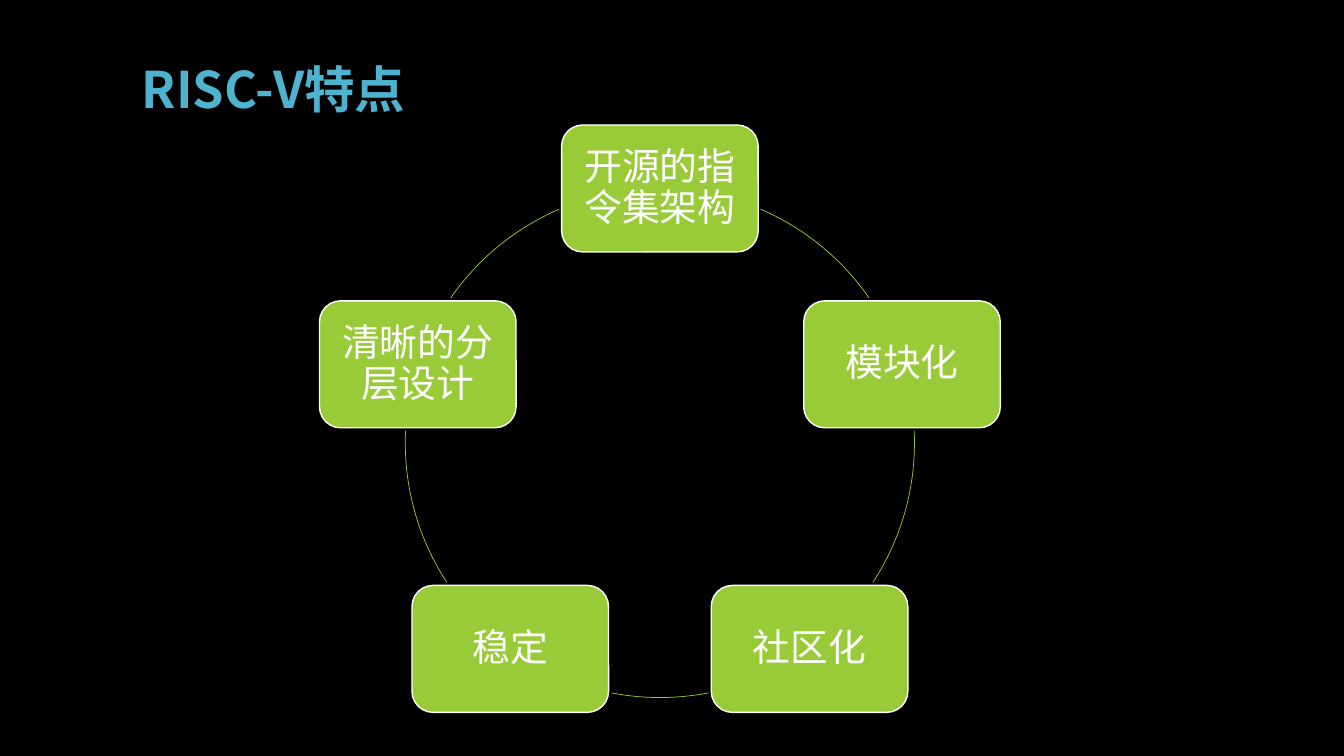
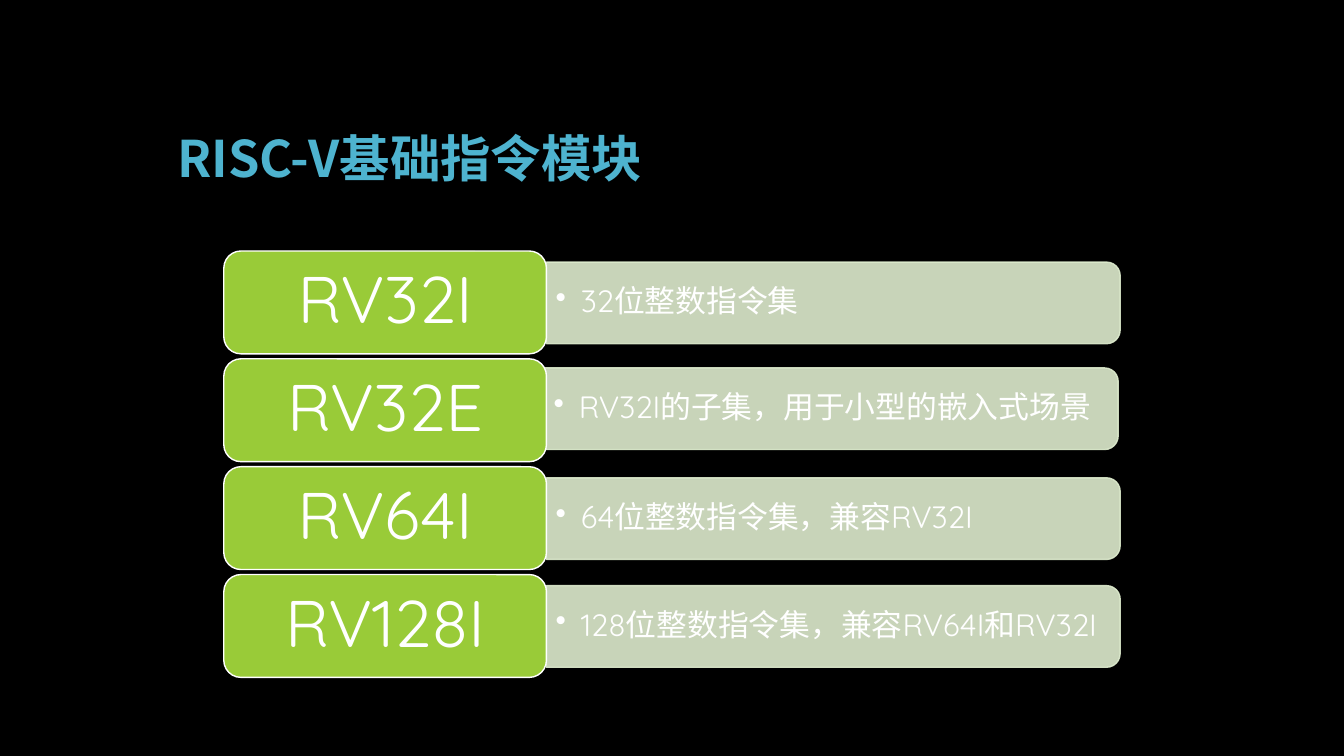
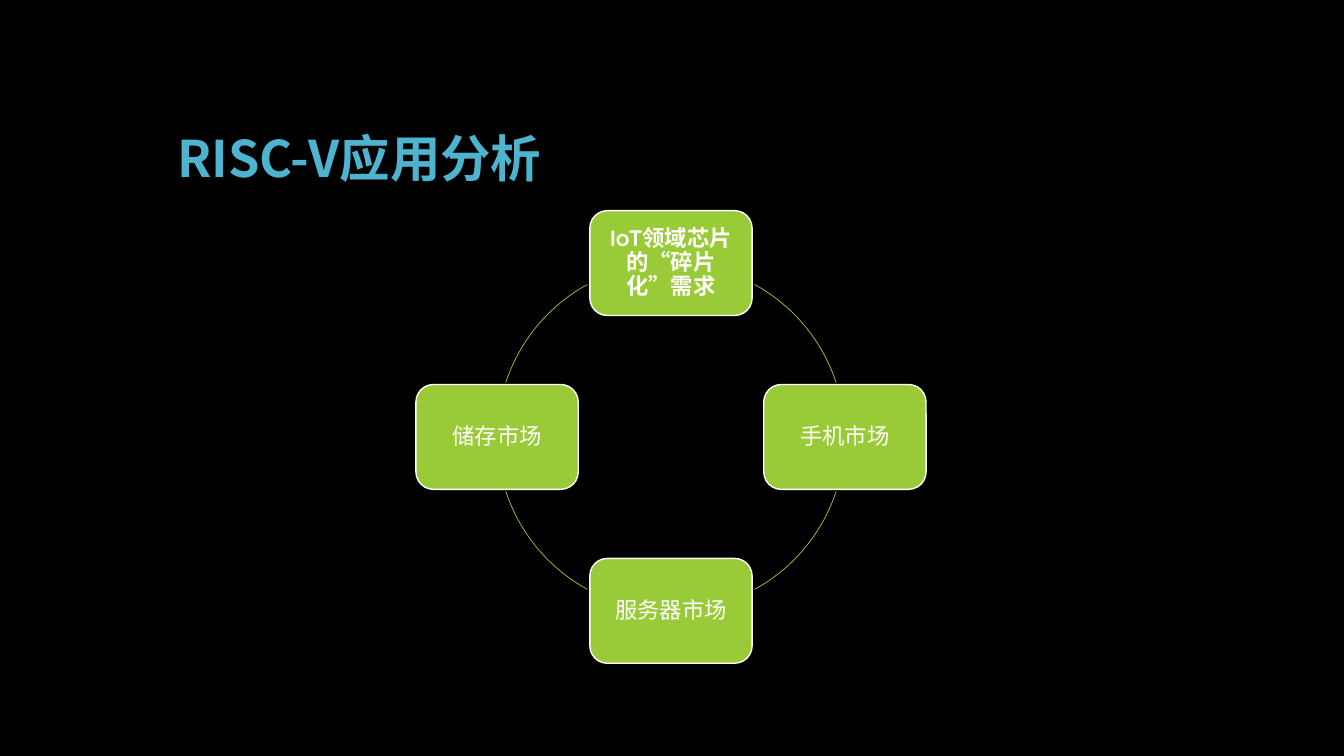
from dataclasses import dataclass
from itertools import count
from math import cos, radians, sin

from lxml import etree
from pptx import Presentation
from pptx.dml.color import RGBColor
from pptx.enum.shapes import MSO_SHAPE
from pptx.enum.text import MSO_ANCHOR, PP_ALIGN
from pptx.oxml.ns import qn
from pptx.util import Emu, Pt

ROUND, TAB, ARC = (MSO_SHAPE.ROUNDED_RECTANGLE,
                   MSO_SHAPE.ROUND_2_SAME_RECTANGLE, MSO_SHAPE.ARC)
LEFT, MID = PP_ALIGN.LEFT, PP_ALIGN.CENTER
CENTER, BOTTOM = MSO_ANCHOR.MIDDLE, MSO_ANCHOR.BOTTOM
BLANK = 6
SCALE = 9144  # EMU in one px, 100 px to the inch


@dataclass(frozen=True)
class Theme:
    back: str = "000000"
    title: str = "4EB3CF"
    green: str = "99CB38"
    pale: str = "DEECCE"
    white: str = "FFFFFF"
    body: str = "Quicksand"
    han: str = "Noto Sans CJK SC"
    head: int = 36
    code: int = 47
    note: int = 22
    large: int = 27
    small: int = 16


T = Theme()


def px(n):
    return Emu(round(n * SCALE))


def rgb(code):
    return RGBColor.from_string(code)


# Text
def write(shape, text, *, size, color=T.white, font=T.body, bold=False,
          align=MID, anchor=CENTER, pad=(10, 5), bullet=False):
    frame = shape.text_frame
    frame.word_wrap = True
    frame.vertical_anchor = anchor
    frame.margin_left = frame.margin_right = px(pad[0])
    frame.margin_top = frame.margin_bottom = px(pad[1])
    para = frame.paragraphs[0]
    para.alignment = align
    para.line_spacing = 0.9
    run = para.add_run()
    run.text = text
    run.font.size = Pt(size)
    run.font.bold = bold
    run.font.color.rgb = rgb(color)
    run.font.name = font
    etree.SubElement(run.font._element, qn("a:ea"), typeface=T.han)
    if bullet:
        props = para._p.get_or_add_pPr()
        props.set("marL", str(px(25)))
        props.set("indent", str(px(-25)))
        etree.SubElement(props, qn("a:buChar"), char="•")


def label(slide, text, box, **style):
    write(slide.shapes.add_textbox(*map(px, box)), text, **style)


# Shapes
def draw(slide, kind, box, line, width=1, fill=None):
    shape = slide.shapes.add_shape(kind, *map(px, box))
    shape.shadow.inherit = False
    if fill:
        shape.fill.solid()
        shape.fill.fore_color.rgb = rgb(fill)
    else:
        shape.fill.background()
    shape.line.color.rgb = rgb(line)
    shape.line.width = Pt(width)
    return shape


def node(slide, text, box, **style):
    write(draw(slide, ROUND, box, T.white, fill=T.green), text, **style)


def bar(slide, text, box):
    left, top, wide, high = box
    turn = (wide - high) / 2  # the tab is upright before its quarter turn
    tab = draw(slide, TAB, (left + turn, top - turn, high, wide),
               T.pale, fill=T.pale)
    tab.rotation = 90
    for color in tab._element.spPr.iter(qn("a:srgbClr")):
        etree.SubElement(color, qn("a:alpha"), val="90000")
    label(slide, text, (left, top + 4, wide - 4, high - 8), size=T.note,
          align=LEFT, pad=(9, 5), bullet=True)


# Ring of nodes joined by arcs
def leave(start, sign, rad, size, gap=2):
    """Angle at which the ring gets clear of the node centred at start."""
    wide, high = (side / 2 + gap for side in size)
    a = radians(start)
    for step in count():
        angle = start + sign * step / 4
        b = radians(angle)
        if (abs(cos(b) - cos(a)) * rad > wide
                or abs(sin(b) - sin(a)) * rad > high):
            return angle


def ring(slide, names, left, top, span, size, pad, points, strong=()):
    rad = span / 2
    turn = 360 / len(names)
    for i, name in enumerate(names):
        angle = -90 + i * turn
        a = radians(angle)
        x = left + rad + rad * cos(a) - size[0] / 2
        y = top + rad + rad * sin(a) - size[1] / 2
        node(slide, name, (x, y, *size), size=points, pad=(pad, pad),
             bold=name in strong)
        arc = draw(slide, ARC, (left, top, span, span), T.green, 0.5)
        ends = (leave(angle, 1, rad, size),
                leave(angle + turn, -1, rad, size))
        for k, end in enumerate(ends):
            arc.adjustments[k] = end % 360 * 0.6  # 60000ths over 100000


# Rows of a code and its note
def rows(slide, items, top=249, pitch=107):
    for i, (code, note, dx, dy) in enumerate(items):
        y = top + i * pitch
        bar(slide, note, (542 + dx, y + 11 + dy, 569, 81))
        node(slide, code, (222, y, 320, 102), size=T.code, pad=(20, 10))


def page(deck, title, box=(166, 42, 1000, 150)):
    slide = deck.slides.add_slide(deck.slide_layouts[BLANK])
    label(slide, title, box, size=T.head, color=T.title, font=T.han,
          bold=True, align=LEFT, anchor=BOTTOM)
    return slide


def main():
    deck = Presentation()
    deck.slide_width, deck.slide_height = px(1333), px(750)
    back = deck.slide_master.background.fill
    back.solid()
    back.fore_color.rgb = rgb(T.back)

    # Traits
    slide = page(deck, "RISC-V特点", (131, 31, 1000, 92))
    ring(slide, ["开源的指令集架构", "模块化", "社区化", "稳定",
                 "清晰的分层设计"],
         402, 187, 505, (195, 126), 11, T.large)

    # Base modules
    slide = page(deck, "RISC-V基础指令模块")
    rows(slide, [
        ("RV32I", "32位整数指令集", 0, 0),
        ("RV32E", "RV32I的子集，用于小型的嵌入式场景", -2, -2),
        ("RV64I", "64位整数指令集，兼容RV32I", 0, 0),
        ("RV128I", "128位整数指令集，兼容RV64I和RV32I", 0, 0),
    ])

    # Markets
    slide = page(deck, "RISC-V应用分析")
    need = "IoT领域芯片的“碎片化”需求"
    ring(slide, [need, "手机市场", "服务器市场", "储存市场"],
         493, 261, 345, (161, 104), 7, T.small, strong=(need,))

    deck.save("out.pptx")


if __name__ == "__main__":
    main()
